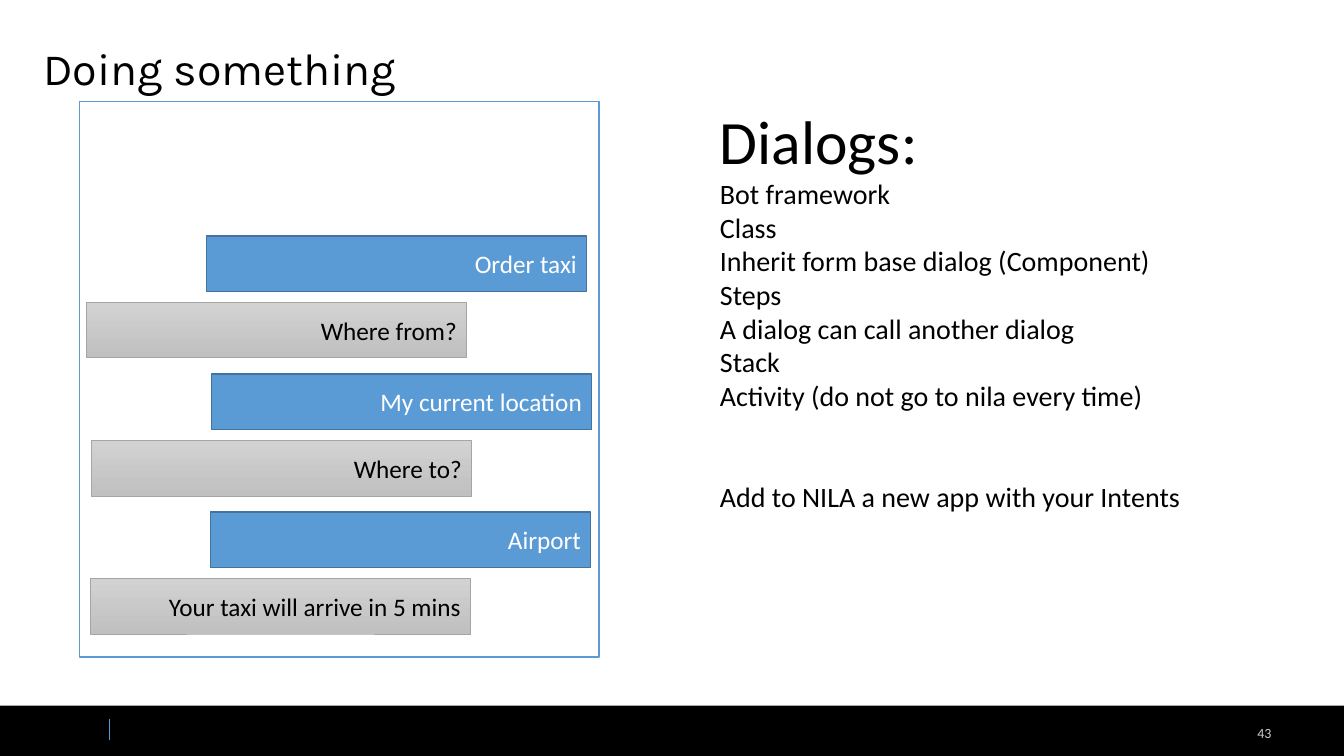
from lxml import etree
from pptx import Presentation
from pptx.dml.color import RGBColor
from pptx.enum.shapes import MSO_CONNECTOR, MSO_SHAPE
from pptx.enum.text import MSO_ANCHOR, MSO_AUTO_SIZE, PP_ALIGN
from pptx.oxml.ns import qn
from pptx.util import Inches, Pt

BLACK, WHITE, BLUE = "000000", "FFFFFF", "5B9BD5"


def color(hex_string):
    return RGBColor.from_string(hex_string)


class SlideBuilder:
    body_font = "Calibri"
    title_font = "Karla"

    def __init__(self, slide):
        self.slide = slide

    def place(self, shape, left, top, width, height):
        shape.left, shape.top = Inches(left), Inches(top)
        shape.width, shape.height = Inches(width), Inches(height)

    def style(self, paragraph, size, hex_string, font=None, align=PP_ALIGN.LEFT):
        paragraph.alignment = align
        paragraph.font.name = font or self.body_font
        paragraph.font.size = Pt(size)
        paragraph.font.color.rgb = color(hex_string)

    def title(self, text, *box):
        shape = self.slide.shapes.title
        self.place(shape, *box)
        frame = shape.text_frame
        frame.text = text
        frame.vertical_anchor = MSO_ANCHOR.MIDDLE
        paragraph = frame.paragraphs[0]
        paragraph.line_spacing = 0.9
        self.style(paragraph, 32, BLACK, self.title_font)

    def body(self, lines, *box):
        """Fill the body placeholder with (text, size, space before) lines."""
        shape = self.slide.placeholders[1]
        self.place(shape, *box)
        frame = shape.text_frame
        frame.auto_size = MSO_AUTO_SIZE.NONE
        frame.text = "\n".join(text for text, _, _ in lines)
        for paragraph, (_, size, space) in zip(frame.paragraphs, lines):
            self.style(paragraph, size, BLACK)
            paragraph.space_before = Pt(space)
            properties = paragraph._p.get_or_add_pPr()
            properties.set("marL", "0")
            properties.set("indent", "0")
            bullet = etree.Element(qn("a:buNone"))
            properties.find(qn("a:defRPr")).addprevious(bullet)

    def rectangle(self, box, fill, line=None, line_width=1):
        """Draw a rectangle; a pair of fill colours runs from top to bottom."""
        shape = self.slide.shapes.add_shape(
            MSO_SHAPE.RECTANGLE, *(Inches(length) for length in box))
        shape.shadow.inherit = False
        if isinstance(fill, tuple):
            shape.fill.gradient()
            shape.fill.gradient_angle = 270
            for stop, hex_string in zip(shape.fill.gradient_stops, fill):
                stop.color.rgb = color(hex_string)
        else:
            shape.fill.solid()
            shape.fill.fore_color.rgb = color(fill)
        if line:
            shape.line.color.rgb = color(line)
            shape.line.width = Pt(line_width)
        else:
            shape.line.fill.background()
        return shape

    def bubble(self, text, left, top, fill, line, line_width, text_color):
        shape = self.rectangle((left, top, 3.77, 0.55), fill, line, line_width)
        frame = shape.text_frame
        frame.text = text
        frame.vertical_anchor = MSO_ANCHOR.MIDDLE
        self.style(frame.paragraphs[0], 18, text_color, align=PP_ALIGN.RIGHT)

    def page_number(self, text, *box):
        shape = self.slide.shapes.add_textbox(*(Inches(length) for length in box))
        frame = shape.text_frame
        frame.word_wrap = True
        frame.margin_left = frame.margin_right = Inches(0.07)
        frame.margin_top = frame.margin_bottom = Inches(0.04)
        frame.text = text
        self.style(frame.paragraphs[0], 10, "CCCCCC", align=PP_ALIGN.RIGHT)

    def line(self, start, end, hex_string, width):
        connector = self.slide.shapes.add_connector(
            MSO_CONNECTOR.STRAIGHT, *(Inches(value) for value in start + end))
        connector.line.color.rgb = color(hex_string)
        connector.line.width = Pt(width)
        etree.SubElement(connector._element.spPr, qn("a:effectLst"))


def main():
    presentation = Presentation()
    presentation.slide_width = Inches(13.33)
    presentation.slide_height = Inches(7.5)
    builder = SlideBuilder(
        presentation.slides.add_slide(presentation.slide_layouts[1]))

    # Footer
    builder.rectangle((0, 7, 13.33, 0.5), BLACK)
    builder.page_number("43", 10.5, 7.15, 2.18, 0.25)
    builder.line((1.08, 7.13), (1.08, 7.34), BLUE, 0.25)

    # Title
    builder.title("Doing something", 0.33, 0.33, 12.33, 0.75)

    # Chat window: each user message is followed by the bot's reply
    builder.rectangle((0.79, 1.01, 5.15, 5.51), WHITE, BLUE)
    exchanges = [
        (2.05, "Order taxi", "Where from?"),
        (2.1, "My current location", "Where to?"),
        (2.09, "Airport", "Your taxi will arrive in 5 mins"),
    ]
    for index, (left, message, reply) in enumerate(exchanges):
        top = 2.34 + 1.37 * index
        builder.bubble(message, left, top, BLUE, "43739E", 1, WHITE)
        builder.bubble(reply, left - 1.19, top + 0.66,
                       ("D2D2D2", "C0C0C0"), "A5A5A5", 0.5, BLACK)

    # Notes on dialogs
    topics = [
        "Bot framework",
        "Class",
        "Inherit form base dialog (Component)",
        "Steps",
        "A dialog can call another dialog",
        "Stack",
        "Activity (do not go to nila every time)",
    ]
    builder.body(
        [("Dialogs:", 44, 0)]
        + [(topic, 20, 0) for topic in topics]
        + [("Add to NILA a new app with your Intents", 20, 48)],
        7.04, 0.97, 6.02, 4.21)

    presentation.save("out.pptx")


if __name__ == "__main__":
    main()
